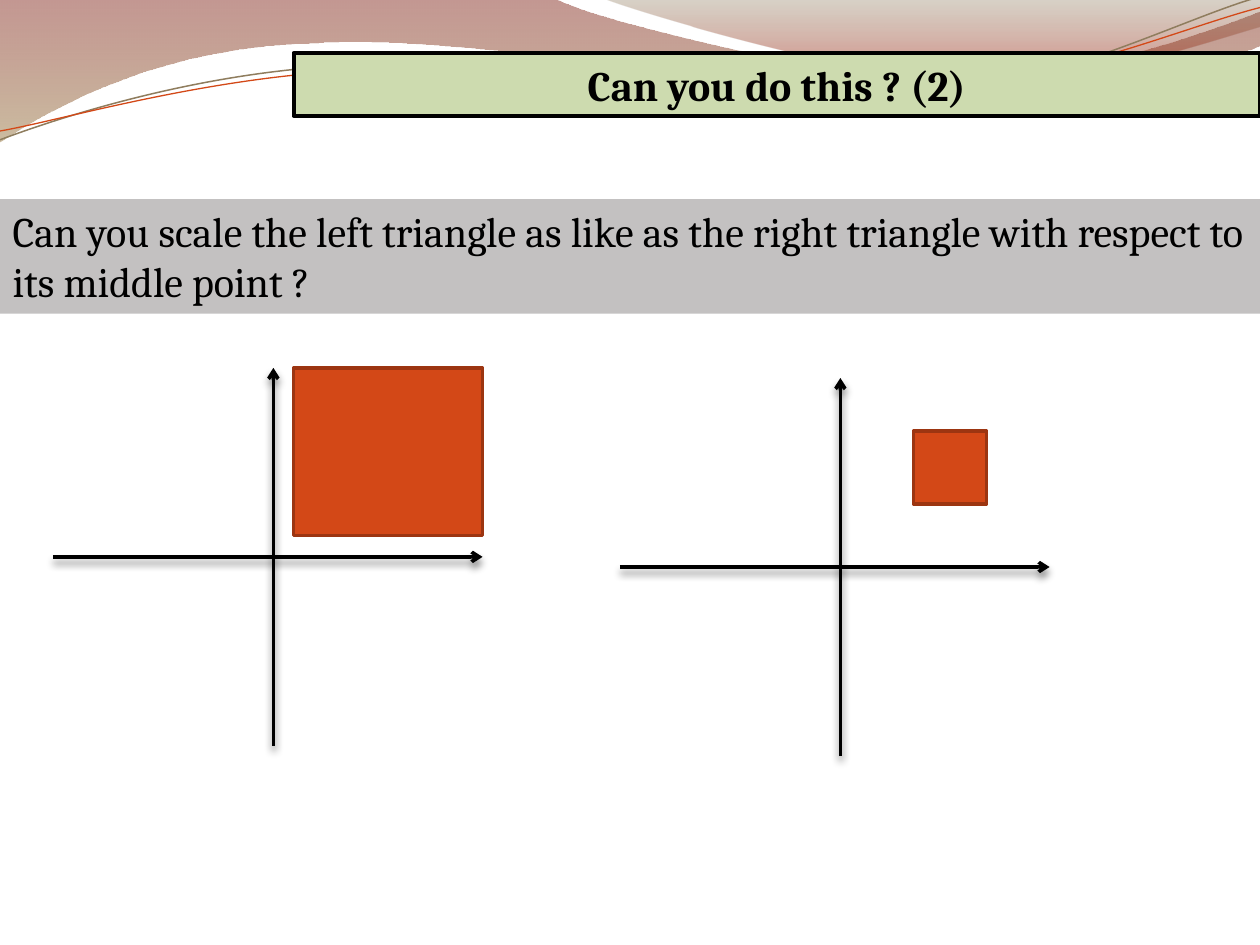
from dataclasses import dataclass

import lxml.etree
import pptx
import pptx.dml.color
import pptx.enum.shapes
import pptx.enum.text
import pptx.oxml.ns
import pptx.util
from pptx.util import Inches


@dataclass(frozen=True)
class Theme:
    font: str = "Cambria"
    text_size: float = 24
    ink: str = "000000"
    title_fill: str = "CDDBAF"
    question_fill: str = "C3C1C1"
    square_fill: str = "D34817"
    square_edge: str = "9C3511"
    tan_line: str = "8F7D5E"
    title_edge_width: float = 2.25
    line_width: float = 2


@dataclass(frozen=True)
class Area:
    left: float
    top: float
    width: float
    height: float


@dataclass(frozen=True)
class Stop:
    position: float
    color: str
    opacity: int


@dataclass(frozen=True)
class Wave:
    start: tuple[float, float]
    segments: tuple[tuple[float, ...], ...]
    stops: tuple[Stop, ...] = ()
    line: str = ""
    width: float = 0


@dataclass(frozen=True)
class Plot:
    left: float
    axis_y: float
    axis_x: float
    square: Area


THEME = Theme()
AXIS_LENGTH = 3.41
AXIS_HALF_HEIGHT = 1.5

WAVES = (
    Wave((0, 0), (
        (4.4, -0.01),
        (4.76, 0.17, 6.64, 0.63, 7.58, 0.63),
        (8.53, 0.63, 9.58, 0.26, 10, 0.09),
        (10.01, 0.36),
        (9.83, 0.44, 8.7, 0.76, 7.46, 0.75),
        (6.22, 0.75, 3.82, 0.28, 2.57, 0.34),
        (1.29, 0.36, 0.46, 0.83, -0.01, 1.13),
    ), stops=(Stop(0, "7C1A0E", 45), Stop(1, "A18552", 55))),
    Wave((4.79, -0.01), (
        (5.09, 0.11, 6.82, 0.62, 7.69, 0.65),
        (8.56, 0.69, 9.61, 0.32, 10, 0.21),
        (10, 0),
    ), stops=(Stop(0, "7E6B48", 30), Stop(0.8, "9F1705", 45))),
    Wave((0, 1.11), (
        (0.48, 0.93, 1.58, 0.57, 2.77, 0.52),
        (3.95, 0.47, 5.93, 0.89, 7.13, 0.8),
        (8.33, 0.71, 9.38, 0.15, 9.98, -0.02),
    ), line=THEME.tan_line, width=0.85),
    Wave((0, 1.04), (
        (0.47, 0.96, 1.64, 0.61, 2.83, 0.56),
        (4.03, 0.51, 5.97, 0.84, 7.17, 0.75),
        (8.36, 0.67, 9.41, 0.21, 10, 0.06),
    ), line=THEME.square_fill, width=0.75),
)

PLOTS = (
    Plot(0.42, 4.42, 2.17, Area(2.33, 2.92, 1.5, 1.33)),
    Plot(4.92, 4.5, 6.67, Area(7.25, 3.42, 0.58, 0.58)),
)


def rgb(color: str) -> pptx.dml.color.RGBColor:
    return pptx.dml.color.RGBColor.from_string(color)


def add_child(parent, tag: str, **attributes: str):
    child = lxml.etree.SubElement(parent, pptx.oxml.ns.qn(tag))
    for name, value in attributes.items():
        child.set(name, value)
    return child


def paint(shape, fill: str, edge: str = "", width: float = 0) -> None:
    shape.fill.solid()
    shape.fill.fore_color.rgb = rgb(fill)
    if edge:
        shape.line.color.rgb = rgb(edge)
        shape.line.width = pptx.util.Pt(width)


def bend_segments(shape, segments) -> None:
    steps = iter(list(shape.element.spPr.iter(pptx.oxml.ns.qn("a:lnTo"))))
    for segment in segments:
        first = next(steps)
        if len(segment) == 2:
            continue
        curve = lxml.etree.Element(pptx.oxml.ns.qn("a:cubicBezTo"))
        first.addprevious(curve)
        for step in (first, next(steps), next(steps)):
            curve.append(step[0])
            step.getparent().remove(step)


def draw_wave(page, wave: Wave) -> None:
    builder = page.shapes.build_freeform(*map(Inches, wave.start))
    points = [tuple(map(Inches, segment[i:i + 2]))
              for segment in wave.segments for i in range(0, len(segment), 2)]
    builder.add_line_segments(points, close=bool(wave.stops))
    shape = builder.convert_to_shape()
    bend_segments(shape, wave.segments)
    shape.shadow.inherit = False
    if not wave.stops:
        shape.fill.background()
        shape.line.color.rgb = rgb(wave.line)
        shape.line.width = pptx.util.Pt(wave.width)
        return
    shape.line.fill.background()
    shape.fill.gradient()
    shape.fill.gradient_angle = 270
    for target, stop in zip(shape.fill.gradient_stops, wave.stops):
        target.position = stop.position
        target.color.rgb = rgb(stop.color)
    colors = list(shape.element.spPr.iter(pptx.oxml.ns.qn("a:srgbClr")))
    for color, stop in zip(colors, wave.stops):
        add_child(color, "a:alpha", val=str(stop.opacity * 1000))


def set_text(page, box, area: Area, text: str, alignment, anchor, bold: bool) -> None:
    page.shapes.element.append(box.element)
    box.left, box.top = Inches(area.left), Inches(area.top)
    box.width, box.height = Inches(area.width), Inches(area.height)
    frame = box.text_frame
    frame.text = text
    frame.word_wrap = True
    frame.auto_size = pptx.enum.text.MSO_AUTO_SIZE.NONE
    frame.vertical_anchor = anchor
    para = frame.paragraphs[0]
    para.alignment = alignment
    para.space_before = pptx.util.Pt(0)
    span = para.runs[0]
    span.font.name = THEME.font
    span.font.size = pptx.util.Pt(THEME.text_size)
    span.font.bold = bold
    span.font.color.rgb = rgb(THEME.ink)


def remove_bullet(para) -> None:
    properties = para._p.get_or_add_pPr()
    properties.set("marL", "0")
    properties.set("indent", "0")
    add_child(properties, "a:buNone")


def draw_axis(page, start: tuple[float, float], end: tuple[float, float]) -> None:
    axis = page.shapes.add_connector(
        pptx.enum.shapes.MSO_CONNECTOR.STRAIGHT, *map(Inches, start + end))
    axis.line.color.rgb = rgb(THEME.ink)
    axis.line.width = pptx.util.Pt(THEME.line_width)
    add_child(axis.line._get_or_add_ln(), "a:tailEnd", type="arrow")
    effects = add_child(axis.element.spPr, "a:effectLst")
    shadow = add_child(effects, "a:outerShdw", blurRad=str(pptx.util.Pt(4.5)),
                       dist=str(pptx.util.Pt(3)), dir="5400000", rotWithShape="0")
    add_child(add_child(shadow, "a:srgbClr", val=THEME.ink), "a:alpha", val="48000")


def draw_plot(page, plot: Plot) -> None:
    draw_axis(page, (plot.left, plot.axis_y), (plot.left + AXIS_LENGTH, plot.axis_y))
    draw_axis(page, (plot.axis_x, plot.axis_y + AXIS_HALF_HEIGHT),
              (plot.axis_x, plot.axis_y - AXIS_HALF_HEIGHT))
    area = plot.square
    square = page.shapes.add_shape(
        pptx.enum.shapes.MSO_SHAPE.RECTANGLE,
        *map(Inches, (area.left, area.top, area.width, area.height)))
    square.shadow.inherit = False
    paint(square, THEME.square_fill, THEME.square_edge, THEME.line_width)


def main() -> None:
    deck = pptx.Presentation()
    deck.slide_width, deck.slide_height = Inches(10), Inches(7.5)
    page = deck.slides.add_slide(deck.slide_layouts[1])
    title, question = page.shapes.title, page.placeholders[1]
    for wave in WAVES:
        draw_wave(page, wave)
    align, anchor = pptx.enum.text.PP_ALIGN, pptx.enum.text.MSO_ANCHOR
    set_text(page, question, Area(0, 1.58, 10, 0.91),
             "Can you scale the left triangle as like as the right triangle "
             "with respect to its middle point ?", align.LEFT, anchor.TOP, False)
    remove_bullet(question.text_frame.paragraphs[0])
    paint(question, THEME.question_fill)
    for plot in PLOTS:
        draw_plot(page, plot)
    set_text(page, title, Area(2.33, 0.42, 7.67, 0.5),
             "Can you do this ? (2)", align.CENTER, anchor.MIDDLE, True)
    paint(title, THEME.title_fill, THEME.ink, THEME.title_edge_width)
    deck.save("out.pptx")


if __name__ == "__main__":
    main()
